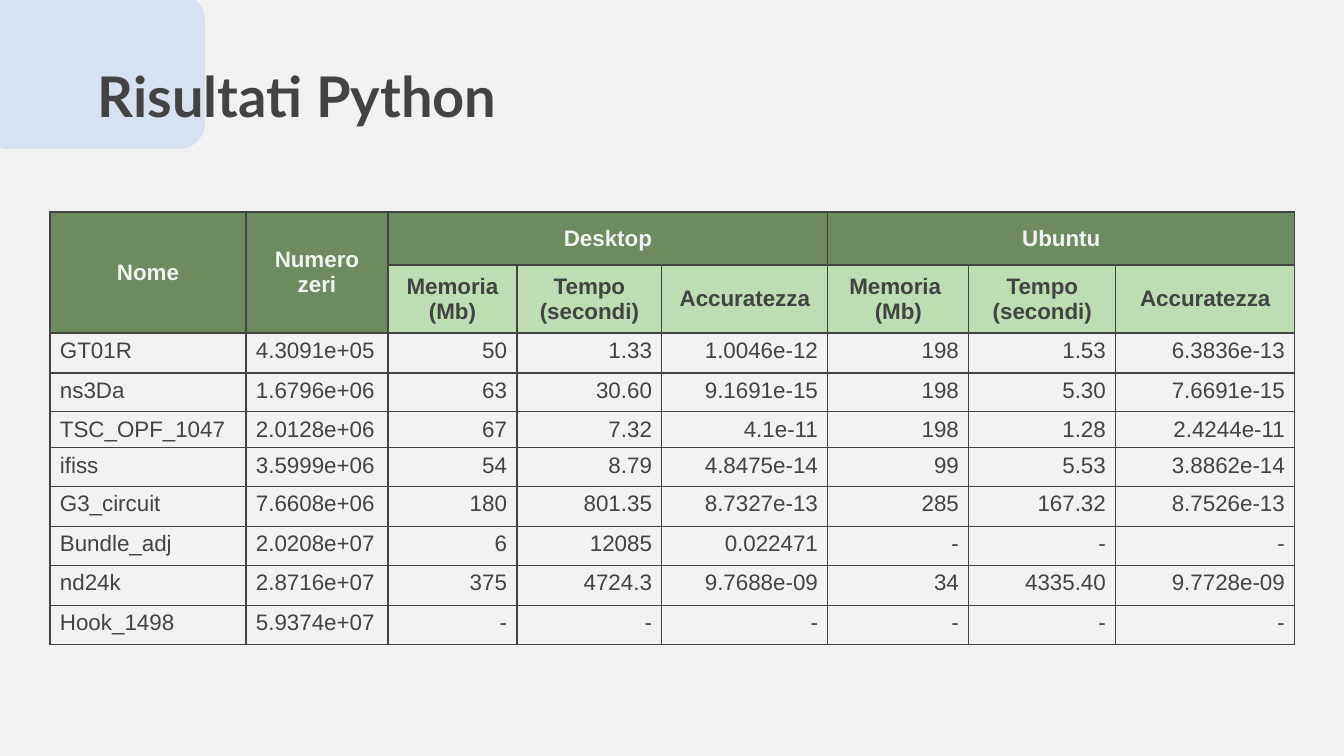
from dataclasses import dataclass

from lxml import etree
from pptx import Presentation
from pptx import util as u
from pptx.dml import color
from pptx.enum import shapes, text
from pptx.oxml import ns

COLORS = {
    "page": "F2F2F2",
    "panel": "8CB1EE",
    "ink": "434343",
    "header": "6D8B5F",
    "subheader": "BEDDB2",
}
COLUMN_WIDTHS = [196, 142, 129, 145, 166, 141, 147, 179]
ROW_HEIGHTS = [53, 68, 40, 39, 36, 39, 40, 39, 40, 39]
HEADER_ROWS = 2
LABEL_COLUMNS = 2


@dataclass
class Header:
    row: int
    column: int
    label: str
    row_span: int = 1
    column_span: int = 1
    fill: str = "header"
    ink: str = "page"
    inset: int | None = None


HEADERS = [
    Header(0, 0, "Nome", row_span=2),
    Header(0, 1, "Numero zeri", row_span=2),
    Header(0, 2, "Desktop", column_span=3),
    Header(0, 5, "Ubuntu", column_span=3, inset=0),
] + [
    Header(1, column, label, fill="subheader", ink="ink")
    for column, label in enumerate(
        ["Memoria (Mb)", "Tempo (secondi)", "Accuratezza",
         "Memoria \n(Mb)", "Tempo (secondi)", "Accuratezza"],
        start=LABEL_COLUMNS,
    )
]

RESULTS = [
    ["GT01R", "4.3091e+05", "50", "1.33", "1.0046e-12", "198", "1.53", "6.3836e-13"],
    ["ns3Da", "1.6796e+06", "63", "30.60", "9.1691e-15", "198", "5.30", "7.6691e-15"],
    ["TSC_OPF_1047", "2.0128e+06", "67", "7.32", "4.1e-11", "198", "1.28", "2.4244e-11"],
    ["ifiss", "3.5999e+06", "54", "8.79", "4.8475e-14", "99", "5.53", "3.8862e-14"],
    ["G3_circuit", "7.6608e+06", "180", "801.35", "8.7327e-13", "285", "167.32", "8.7526e-13"],
    ["Bundle_adj", "2.0208e+07", "6", "12085", "0.022471", "-", "-", "-"],
    ["nd24k", "2.8716e+07", "375", "4724.3", "9.7688e-09", "34", "4335.40", "9.7728e-09"],
    ["Hook_1498", "5.9374e+07", "-", "-", "-", "-", "-", "-"],
]


def px(length: int) -> u.Emu:
    return u.Emu(round(length * 914400 / 100.8))


def rgb(name: str) -> color.RGBColor:
    return color.RGBColor.from_string(COLORS[name])


def write(frame, content: str, *, size=16, font="Arial", ink="ink", bold=False,
          align=text.PP_ALIGN.LEFT) -> None:
    frame.text = content
    for para in frame.paragraphs:
        para.alignment = align
        for span in para.runs:
            span.font.size = u.Pt(size)
            span.font.name = font
            span.font.bold = bold
            span.font.color.rgb = rgb(ink)


def set_insets(box, horizontal: int, vertical: int) -> None:
    box.margin_left = box.margin_right = px(horizontal)
    box.margin_top = box.margin_bottom = px(vertical)


def add_borders(cell) -> None:
    properties = cell._tc.get_or_add_tcPr()
    for side in ("lnL", "lnR", "lnT", "lnB"):
        line = etree.SubElement(properties, ns.qn(f"a:{side}"), w=str(u.Pt(1)))
        fill = etree.SubElement(line, ns.qn("a:solidFill"))
        etree.SubElement(fill, ns.qn("a:srgbClr"), val=COLORS["ink"])


def add_panel(page) -> None:
    panel = page.shapes.add_shape(
        shapes.MSO_SHAPE.ROUNDED_RECTANGLE, px(-18), px(-6), px(223), px(155))
    panel.shadow.inherit = False
    panel.fill.solid()
    panel.fill.fore_color.rgb = rgb("panel")
    tint = panel._element.spPr.find(".//" + ns.qn("a:srgbClr"))
    etree.SubElement(tint, ns.qn("a:alpha"), val="25000")
    panel.line.fill.background()
    page.shapes._spTree.insert(2, panel._element)


def set_title(page) -> None:
    title = page.shapes.title
    title.left, title.top, title.width, title.height = px(88), px(52), px(608), px(185)
    frame = title.text_frame
    frame.word_wrap = True
    frame.auto_size = text.MSO_AUTO_SIZE.NONE
    frame.vertical_anchor = text.MSO_ANCHOR.TOP
    set_insets(frame, 10, 10)
    write(frame, "Risultati Python", size=40, font="Lato", bold=True)


def fill_header(table, header: Header) -> None:
    cell = table.cell(header.row, header.column)
    if header.row_span > 1 or header.column_span > 1:
        cell.merge(table.cell(header.row + header.row_span - 1,
                              header.column + header.column_span - 1))
    cell.fill.solid()
    cell.fill.fore_color.rgb = rgb(header.fill)
    cell.vertical_anchor = text.MSO_ANCHOR.MIDDLE
    if header.inset is not None:
        set_insets(cell, header.inset, header.inset)
    write(cell.text_frame, header.label, ink=header.ink, bold=True,
          align=text.PP_ALIGN.CENTER)


def add_results(page) -> None:
    table = page.shapes.add_table(
        len(ROW_HEIGHTS), len(COLUMN_WIDTHS), px(50), px(212),
        px(sum(COLUMN_WIDTHS)), px(sum(ROW_HEIGHTS))).table
    table.first_row = table.horz_banding = False
    for column, width in zip(table.columns, COLUMN_WIDTHS):
        column.width = px(width)
    for row, height in zip(table.rows, ROW_HEIGHTS):
        row.height = px(height)
    for cell in table.iter_cells():
        set_insets(cell, 10, 5)
        add_borders(cell)
        cell.fill.background()
    for header in HEADERS:
        fill_header(table, header)
    for row, values in enumerate(RESULTS, start=HEADER_ROWS):
        for column, value in enumerate(values):
            is_label = column < LABEL_COLUMNS
            write(table.cell(row, column).text_frame, value,
                  align=text.PP_ALIGN.LEFT if is_label else text.PP_ALIGN.RIGHT)


def main() -> None:
    deck = Presentation()
    deck.slide_width, deck.slide_height = px(1344), px(756)
    page = deck.slides.add_slide(deck.slide_layouts[5])
    page.background.fill.solid()
    page.background.fill.fore_color.rgb = rgb("page")
    add_panel(page)
    set_title(page)
    add_results(page)
    deck.save("out.pptx")


if __name__ == "__main__":
    main()
